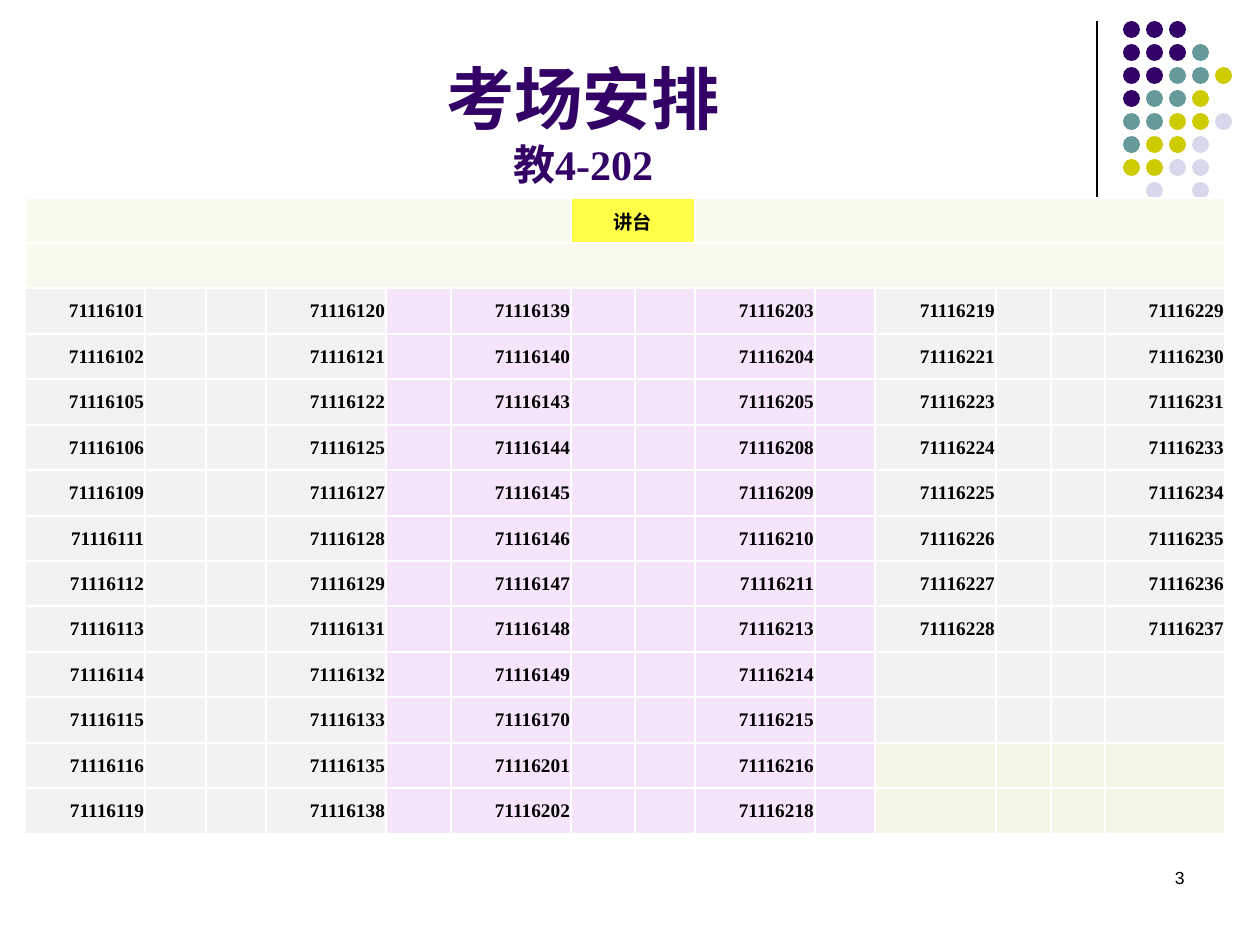
from dataclasses import dataclass

from lxml.etree import SubElement
from pptx import Presentation
from pptx.dml.color import RGBColor
from pptx.enum.shapes import MSO_CONNECTOR, MSO_SHAPE
from pptx.enum.text import MSO_ANCHOR, PP_ALIGN
from pptx.oxml.ns import qn
from pptx.util import Pt

EMU_PER_PX = 914400 / 126

INK, BLACK, WHITE = "330066", "000000", "FFFFFF"
BAND, PODIUM, SIDE, MIDDLE, UNUSED = "F9F9EE", "FFFF47", "F2F2F2", "F5E4FA", "F6F6E7"

DOT_COLORS = {"p": INK, "t": "669999", "y": "CCCC00", "l": "D8D8EC"}
DOT_ROWS = ["ppp", "pppt", "pptty", "ptty", "ttyyl", "tyyl", "yyll", " l l"]
DOT_SIZE, DOT_STEP = 17, 23

TABLE_LEFT, TABLE_TOP, TABLE_HEIGHT, ROW_COUNT = 25, 198, 636, 14
COLUMN_WIDTHS = [120, 61, 60, 120, 65, 120, 64, 60, 120, 60, 121, 55, 54, 120]
FIRST_SEAT_ROW = 2
MIDDLE_COLUMNS = range(4, 10)
FIRST_UNUSED_ROW = 12


@dataclass(frozen=True)
class SeatColumn:
    column: int
    students: str


@dataclass(frozen=True)
class Span:
    row: int
    first: int
    last: int
    color: str
    label: str = ""


SEAT_COLUMNS = [
    SeatColumn(0, "71116101 71116102 71116105 71116106 71116109 71116111 "
                  "71116112 71116113 71116114 71116115 71116116 71116119"),
    SeatColumn(3, "71116120 71116121 71116122 71116125 71116127 71116128 "
                  "71116129 71116131 71116132 71116133 71116135 71116138"),
    SeatColumn(5, "71116139 71116140 71116143 71116144 71116145 71116146 "
                  "71116147 71116148 71116149 71116170 71116201 71116202"),
    SeatColumn(8, "71116203 71116204 71116205 71116208 71116209 71116210 "
                  "71116211 71116213 71116214 71116215 71116216 71116218"),
    SeatColumn(10, "71116219 71116221 71116223 71116224 71116225 71116226 "
                   "71116227 71116228"),
    SeatColumn(13, "71116229 71116230 71116231 71116233 71116234 71116235 "
                   "71116236 71116237"),
]
FRONT_SPANS = [
    Span(0, 0, 5, BAND),
    Span(0, 6, 7, PODIUM, "讲台"),
    Span(0, 8, 13, BAND),
    Span(1, 0, 13, BAND),
]


def px(length: int) -> int:
    return round(length * EMU_PER_PX)


def rgb(color: str) -> RGBColor:
    return RGBColor.from_string(color)


def style_font(font, size: int, color: str, name: str, bold: bool = False) -> None:
    font.size, font.name, font.bold = Pt(size), name, bold
    font.color.rgb = rgb(color)


def add_text_frame(slide, left: int, top: int, width: int, height: int, anchor):
    frame = slide.shapes.add_textbox(px(left), px(top), px(width), px(height)).text_frame
    frame.word_wrap = True
    frame.vertical_anchor = anchor
    return frame


def draw_corner_ornament(slide) -> None:
    rule = slide.shapes.add_connector(
        MSO_CONNECTOR.STRAIGHT, px(1097), px(21), px(1097), px(231))
    rule.line.color.rgb = rgb(BLACK)
    rule.line.width = Pt(0.75)
    SubElement(rule.element.spPr, qn("a:effectLst"))
    for row, codes in enumerate(DOT_ROWS):
        for column, code in enumerate(codes):
            if code == " ":
                continue
            dot = slide.shapes.add_shape(
                MSO_SHAPE.OVAL, px(1123 + column * DOT_STEP), px(21 + row * DOT_STEP),
                px(DOT_SIZE), px(DOT_SIZE))
            dot.shadow.inherit = False
            dot.fill.solid()
            dot.fill.fore_color.rgb = rgb(DOT_COLORS[code])
            dot.line.fill.background()


def draw_heading(slide) -> None:
    heading = add_text_frame(slide, 63, 16, 1040, 179, MSO_ANCHOR.BOTTOM).paragraphs[0]
    heading.alignment = PP_ALIGN.CENTER
    title = heading.add_run()
    title.text = "考场安排"
    style_font(title.font, 39, INK, "Arial", bold=True)
    heading.add_line_break()
    room = heading.add_run()
    room.text = "教4-202"
    style_font(room.font, 24, INK, "Times New Roman", bold=True)


def draw_page_number(slide) -> None:
    number = add_text_frame(slide, 903, 861, 294, 63, MSO_ANCHOR.TOP).paragraphs[0]
    number.text = "3"
    number.alignment = PP_ALIGN.RIGHT
    style_font(number.font, 10, BLACK, "Arial")


def format_cell(cell, color: str) -> None:
    """Give a cell its white borders, fill, tight margins and font."""
    properties = cell._tc.get_or_add_tcPr()
    for side in ("a:lnL", "a:lnR", "a:lnT", "a:lnB"):
        border = SubElement(properties, qn(side), w=str(Pt(1)))
        SubElement(SubElement(border, qn("a:solidFill")), qn("a:srgbClr"), val=WHITE)
    cell.fill.solid()
    cell.fill.fore_color.rgb = rgb(color)
    cell.margin_left = cell.margin_right = cell.margin_top = px(1)
    cell.margin_bottom = 0
    cell.vertical_anchor = MSO_ANCHOR.MIDDLE
    style_font(cell.text_frame.paragraphs[0].font, 11, BLACK, "Times New Roman", bold=True)


def write_cell(cell, label: str, alignment) -> None:
    paragraph = cell.text_frame.paragraphs[0]
    paragraph.text = label
    paragraph.alignment = alignment


def seat_color(row: int, column: int) -> str:
    if column in MIDDLE_COLUMNS:
        return MIDDLE
    if row >= FIRST_UNUSED_ROW and column >= MIDDLE_COLUMNS.stop:
        return UNUSED
    return SIDE


def draw_seating(slide) -> None:
    seating = slide.shapes.add_table(
        ROW_COUNT, len(COLUMN_WIDTHS), px(TABLE_LEFT), px(TABLE_TOP),
        px(sum(COLUMN_WIDTHS)), px(TABLE_HEIGHT)).table
    seating.first_row = seating.horz_banding = False
    for column, width in zip(seating.columns, COLUMN_WIDTHS):
        column.width = px(width)
    edges = [TABLE_HEIGHT * i // ROW_COUNT for i in range(ROW_COUNT + 1)]
    for row, top, bottom in zip(seating.rows, edges, edges[1:]):
        row.height = px(bottom - top)

    for span in FRONT_SPANS:
        for column in range(span.first, span.last + 1):
            format_cell(seating.cell(span.row, column), span.color)
        start = seating.cell(span.row, span.first)
        start.merge(seating.cell(span.row, span.last))
        if span.label:
            write_cell(start, span.label, PP_ALIGN.CENTER)

    for row in range(FIRST_SEAT_ROW, ROW_COUNT):
        for column in range(len(COLUMN_WIDTHS)):
            format_cell(seating.cell(row, column), seat_color(row, column))
    for seats in SEAT_COLUMNS:
        for row, student in enumerate(seats.students.split(), FIRST_SEAT_ROW):
            write_cell(seating.cell(row, seats.column), student, PP_ALIGN.RIGHT)


def main() -> None:
    presentation = Presentation()
    presentation.slide_width, presentation.slide_height = px(1260), px(945)
    slide = presentation.slides.add_slide(presentation.slide_layouts[6])
    draw_corner_ornament(slide)
    draw_heading(slide)
    draw_page_number(slide)
    draw_seating(slide)
    presentation.save("out.pptx")


if __name__ == "__main__":
    main()
